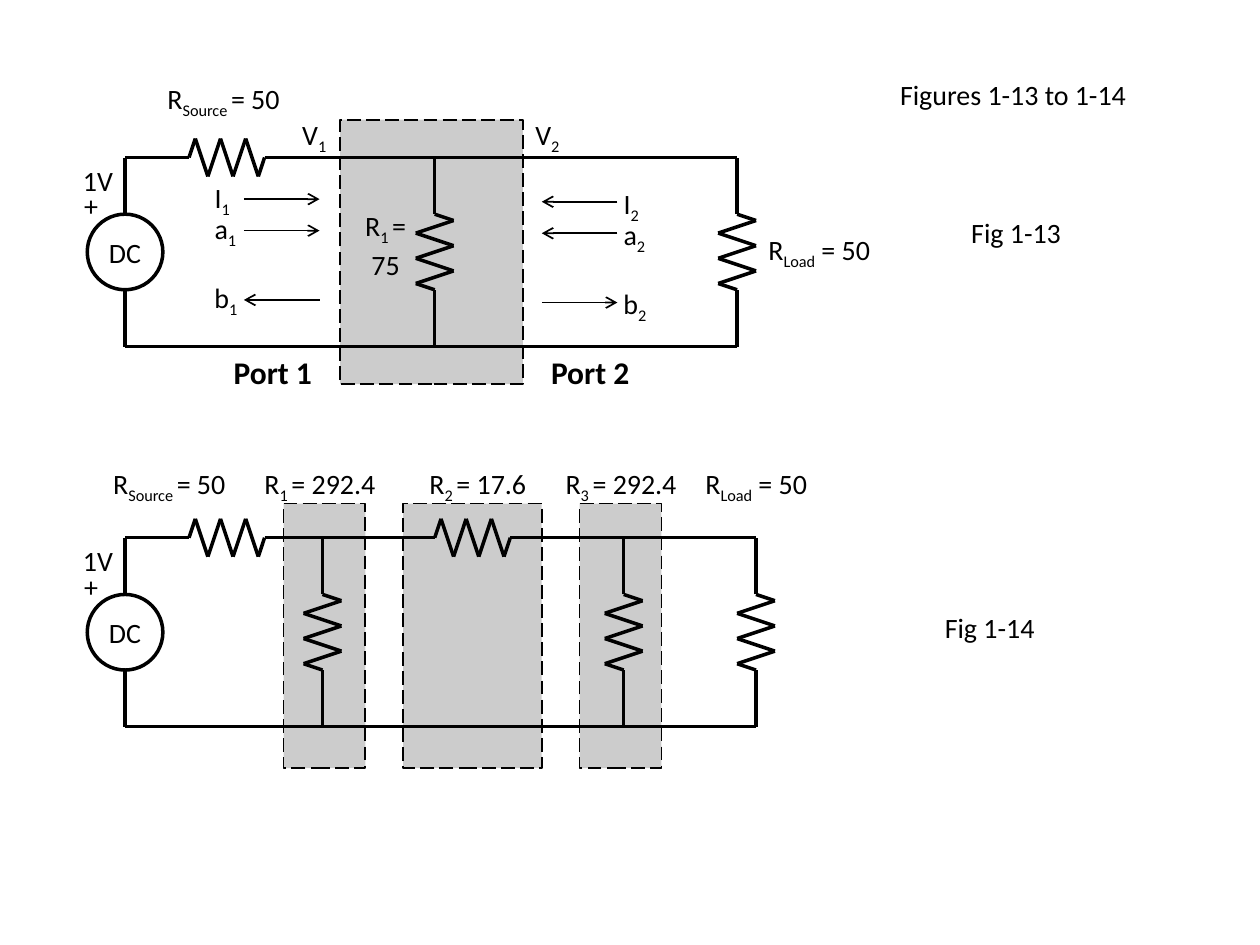
"""Build a slide with two resistor circuits, Fig 1-13 and Fig 1-14."""
from dataclasses import dataclass
from itertools import pairwise

from lxml.etree import SubElement
from pptx import Presentation
from pptx.dml.color import RGBColor
from pptx.enum.dml import MSO_LINE
from pptx.enum.shapes import MSO_CONNECTOR, MSO_SHAPE
from pptx.enum.text import MSO_ANCHOR as ANCHOR, MSO_AUTO_SIZE as FIT, PP_ALIGN as ALIGN
from pptx.oxml.ns import qn
from pptx.util import Pt


@dataclass(frozen=True)
class Theme:
    font: str = "Calibri"
    ink: RGBColor = RGBColor(0, 0, 0)
    text: int = 16
    port: int = 18
    wire: int = 2
    thin: int = 1
    box_alpha: int = 20


THEME = Theme()
TITLE = "Figures 1-13 to 1-14"
SOURCE_X, SERIES_X = 71.5, 108
CIRCUIT_HEIGHT, RESISTOR_DROP, RESISTOR_LENGTH, SWING = 108, 32.4, 43.2, 10.8
BOX_HEIGHT, LABEL_HEIGHT = 151.2, 26.6

FIGURES = [
    dict(top=90, load=421.2, shunts=[248.4], series=[SERIES_X],
         box_top=68.4, boxes=[(194.4, 104.4)]),
    dict(top=307.3, load=432, shunts=[184.3, 356.4], series=[SERIES_X, 248.4],
         box_top=287.8, boxes=[(162, 46.8), (230.4, 79.2), (331.2, 46.8)]),
]
LABELS = [
    ("R|Source |= 50", 88.6, 43.2, 82.8), ("R|1 |=\n 75", 201.6, 115.9, 39.6),
    ("V|1|", 165.6, 63.4, 29.5), ("V|2|", 298.8, 63.4, 29.5),
    ("Fig 1-13", 547.9, 119.5, 66.2), ("Fig 1-14", 532.8, 345.6, 66.2),
    ("R|Source |= 50", 57.6, 262.8, 82.8), ("R|1 |= 292.4", 144, 262.8, 79.9),
    ("R|2 |= 17.6", 238.3, 262.8, 71.3), ("R|3 |= 292.4", 316.1, 262.8, 79.9),
]
LOAD_LABELS = [("R|Load| = 50", 432, 129.6, 82.8), ("R|Load| = 50", 396, 262.8, 82.8)]
PORT_LABELS = [("Port 1", 126, 198, 59.8), ("Port 2", 307.4, 198, 59.8)]
SIGNALS = [("I", 113.8, True, 24), ("a", 131.8, True, 27.4), ("b", 171.4, False, 28)]
PORTS = [
    dict(number=1, label=115.5, outer=139.4, inner=182.6, shift=0, rise=14.4),
    dict(number=2, label=349.2, outer=352.8, inner=309.6, shift=1.5, rise=12.5),
]


def set_font(paragraph, size=THEME.text, bold=False):
    paragraph.font.name = THEME.font
    paragraph.font.size = Pt(size)
    paragraph.font.bold = bold
    paragraph.font.color.rgb = THEME.ink


def set_line(line, width):
    line.color.rgb = THEME.ink
    line.width = Pt(width)


def add_label(slide, text, left, top, width, size=THEME.text, bold=False,
              align=ALIGN.LEFT, wrap=False):
    shape = slide.shapes.add_textbox(Pt(left), Pt(top), Pt(width), Pt(LABEL_HEIGHT))
    frame = shape.text_frame
    frame.word_wrap = wrap
    frame.auto_size = FIT.SHAPE_TO_FIT_TEXT
    for index, row in enumerate(text.split("\n")):
        paragraph = frame.add_paragraph() if index else frame.paragraphs[0]
        paragraph.alignment = align
        set_font(paragraph, size, bold)
        for part, piece in enumerate(row.split("|")):
            if piece:
                run = paragraph.add_run()
                run.text = piece
                if part % 2:
                    run._r.get_or_add_rPr().set("baseline", "-25000")


def add_line(shapes, start, end, width=THEME.wire, arrow=False):
    line = shapes.add_connector(MSO_CONNECTOR.STRAIGHT, *map(Pt, (*start, *end)))
    set_line(line.line, width)
    properties = line._element.spPr
    if arrow:
        SubElement(properties.find(qn("a:ln")), qn("a:tailEnd"), type="arrow")
    SubElement(properties, qn("a:effectLst"))


def add_resistor(slide, left, top, vertical):
    along = [0, *(RESISTOR_LENGTH * step / 12 for step in range(1, 12, 2)), RESISTOR_LENGTH]
    across = [0, *[SWING, -SWING] * 3, 0]
    points = [(left + b, top + a) if vertical else (left + a, top - b)
              for a, b in zip(along, across)]
    group = slide.shapes.add_group_shape()
    for start, end in pairwise(points):
        add_line(group.shapes, start, end)


def add_box(slide, left, top, width):
    box = slide.shapes.add_shape(MSO_SHAPE.RECTANGLE, *map(Pt, (left, top, width, BOX_HEIGHT)))
    box.shadow.inherit = False
    box.fill.solid()
    box.fill.fore_color.rgb = THEME.ink
    color = next(box._element.spPr.iter(qn("a:srgbClr")))
    SubElement(color, qn("a:alpha"), val=str(THEME.box_alpha * 1000))
    set_line(box.line, THEME.thin)
    box.line.dash_style = MSO_LINE.LONG_DASH


def add_source(slide, top):
    left = SOURCE_X - RESISTOR_LENGTH / 2
    circle = slide.shapes.add_shape(
        MSO_SHAPE.OVAL, *map(Pt, (left, top, RESISTOR_LENGTH, RESISTOR_LENGTH)))
    circle.shadow.inherit = False
    circle.fill.background()
    set_line(circle.line, THEME.wire)
    frame = circle.text_frame
    frame.margin_left = frame.margin_right = frame.margin_top = frame.margin_bottom = 0
    frame.vertical_anchor = ANCHOR.MIDDLE
    paragraph = frame.paragraphs[0]
    paragraph.text = "DC"
    paragraph.alignment = ALIGN.CENTER
    set_font(paragraph)


def add_circuit(slide, top, load, shunts, series, box_top, boxes):
    for left, width in boxes:
        add_box(slide, left, box_top, width)
    bottom = top + CIRCUIT_HEIGHT
    part_top = top + RESISTOR_DROP
    part_bottom = part_top + RESISTOR_LENGTH
    add_source(slide, part_top)
    for x in [SOURCE_X, *shunts, load]:
        add_line(slide.shapes, (x, bottom), (x, part_bottom))
        add_line(slide.shapes, (x, part_top), (x, top))
    for x in [*shunts, load]:
        add_resistor(slide, x, part_top, vertical=True)
    for x in series:
        add_resistor(slide, x, top, vertical=False)
    starts = [SOURCE_X, *(x + RESISTOR_LENGTH for x in series)]
    for start, end in zip(starts, [*series, load]):
        add_line(slide.shapes, (start, top), (end, top))
    add_line(slide.shapes, (SOURCE_X, bottom), (load, bottom))
    add_label(slide, "1V", 40.3, top, 31.7)
    add_label(slide, "+", 41, top + 14.4, 22.3)


def add_signals(slide, number, label, outer, inner, shift, rise):
    for name, base, inward, width in SIGNALS:
        y = base + shift
        add_label(slide, f"{name}|{number}|", label, y - rise, width)
        start, end = (outer, inner) if inward else (inner, outer)
        add_line(slide.shapes, (start, y), (end, y), THEME.thin, arrow=True)


def add_title(slide):
    title = slide.shapes.title
    title.left, title.top, title.width, title.height = map(Pt, (473.8, 21.6, 210.2, 64.8))
    title.text_frame.text = TITLE
    title.text_frame.vertical_anchor = ANCHOR.MIDDLE
    paragraph = title.text_frame.paragraphs[0]
    paragraph.alignment = ALIGN.CENTER
    set_font(paragraph)


def main():
    presentation = Presentation()
    presentation.slide_width, presentation.slide_height = Pt(720), Pt(540)
    slide = presentation.slides.add_slide(presentation.slide_layouts[5])
    add_title(slide)
    for figure in FIGURES:
        add_circuit(slide, **figure)
    for port in PORTS:
        add_signals(slide, **port)
    for label in LABELS:
        add_label(slide, *label)
    for label in LOAD_LABELS:
        add_label(slide, *label, wrap=True)
    for label in PORT_LABELS:
        add_label(slide, *label, size=THEME.port, bold=True, align=ALIGN.CENTER)
    presentation.save("out.pptx")


if __name__ == "__main__":
    main()
